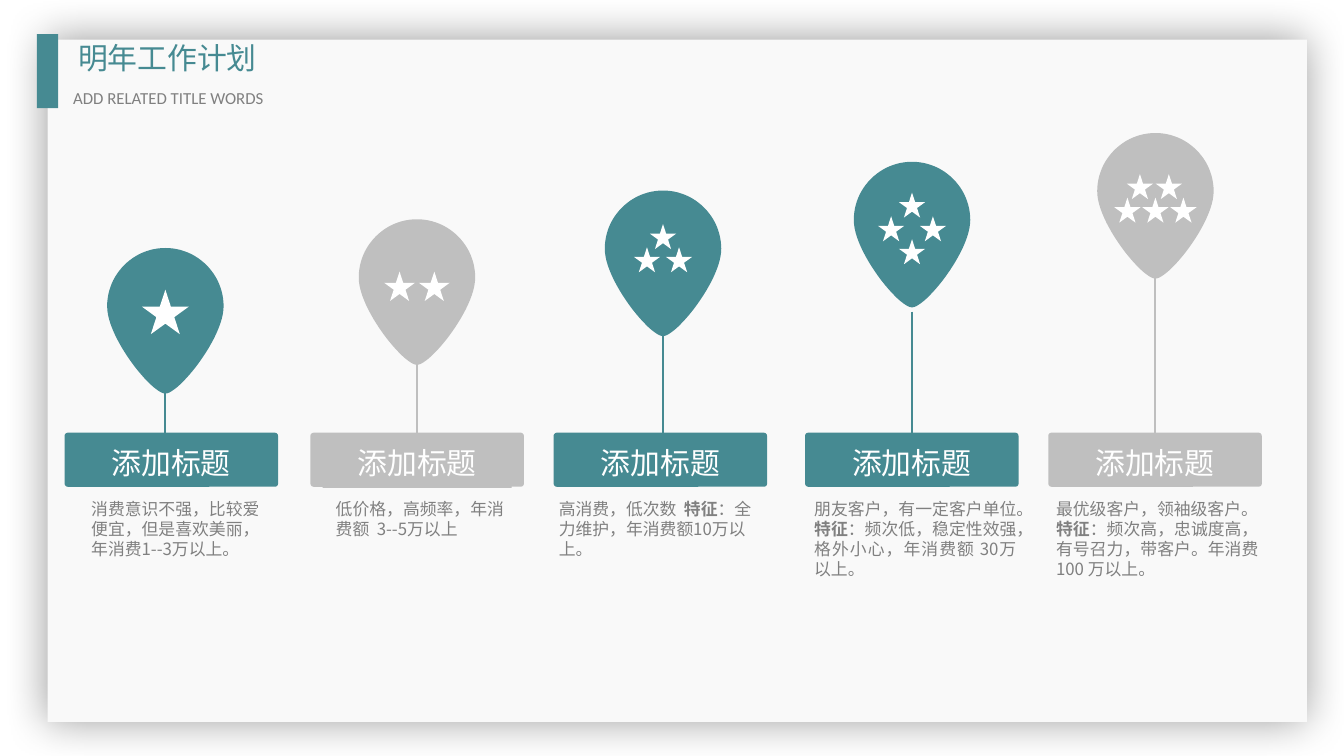
import math
from dataclasses import dataclass

import pptx
import pptx.dml.color
import pptx.enum.shapes
import pptx.enum.text
import pptx.oxml
import pptx.oxml.ns
import pptx.util

Pt = pptx.util.Pt
Align = pptx.enum.text.PP_ALIGN
Shape = pptx.enum.shapes.MSO_SHAPE
DRAWING = pptx.oxml.ns.nsdecls("a")


@dataclass(frozen=True)
class Theme:
    teal: str = "468A92"
    silver: str = "BFBFBF"
    grey: str = "808080"
    white: str = "FFFFFF"
    panel: str = "F9F9F9"
    heading: float = 16
    small: float = 9
    leading: float = 1.2
    cjk: str = "Noto Sans CJK SC"
    latin: str = "Calibri"


THEME = Theme()


@dataclass(frozen=True)
class Box:
    left: float
    top: float
    width: float
    height: float

    def points(self):
        return [Pt(v) for v in (self.left, self.top, self.width, self.height)]


@dataclass(frozen=True)
class Level:
    """One customer level; star points are offsets from the top middle of its pin."""
    color: str
    tag_left: float
    pin_middle: float
    stem_top: float
    star_radius: float
    stars: tuple
    note: Box
    align: object
    paras: tuple
    label_fill: bool = False


LEVELS = (
    Level(THEME.teal, 34.6, 88.6, 208, 13.2, ((0, 22.3),),
          Box(41.8, 263.5, 105, 40), Align.LEFT,
          ((("消费意识不强，比较爱便宜，但是喜欢美丽，年消费1--3万以上。", False),),)),
    Level(THEME.silver, 166.3, 223.4, 195, 8.7, ((-9.3, 28), (9.3, 28)),
          Box(172.8, 263.5, 105, 29), Align.LEFT,
          ((("低价格，高频率，年消费额  3--5万以上", False),),), True),
    Level(THEME.teal, 296.6, 355.2, 177, 7.4, ((-8.6, 30.4), (8.6, 30.4), (0, 18)),
          Box(292.3, 263.5, 122.4, 40), Align.LEFT,
          ((("高消费，低次数  ", False), ("特征", True),
            ("：全力维护，年消费额10万以上。", False)),)),
    Level(THEME.teal, 431.3, 488.6, 167, 7.4,
          ((-11.2, 29.2), (11.2, 29.2), (0, 16.5), (0, 41.5)),
          Box(429.1, 263.5, 122.4, 62), Align.JUSTIFY,
          ((("朋友客户，有一定客户单位。", False),),
           (("特征", True), ("：频次低，稳定性效强，格外小心，年消费额 30万以上。", False)))),
    Level(THEME.silver, 561.6, 619, 149, 7.4,
          ((-15, 34.6), (0, 34.6), (15, 34.6), (-8.3, 22), (7.2, 22)),
          Box(558.7, 263.5, 122.4, 51), Align.JUSTIFY,
          ((("最优级客户，领袖级客户。", False),),
           (("特征", True), ("：频次高，忠诚度高，有号召力，带客户。年消费100 万以上。", False)))),
)
PIN_WIDTH, PIN_HEIGHT = 62.4, 78
PIN_TOP, PIN_RISE = 132.9, 15.4
TAG_TOP, TAG_WIDTH, TAG_HEIGHT = 231.8, 114.4, 29
# Right half of the pin as Bezier curves, in units of half width and full height
PIN_CURVES = (((0, 0), (0.55, 0), (1, 0.18), (1, 0.4)),
              ((1, 0.62), (0.23, 1), (0, 1)))


def rgb(color):
    return pptx.dml.color.RGBColor.from_string(color)


def paint(shape, color):
    shape.shadow.inherit = False
    shape.fill.solid()
    shape.fill.fore_color.rgb = rgb(color)
    shape.line.fill.background()


def write(shape, paras, size, color, font, align, inset=(7.2, 3.6)):
    frame = shape.text_frame
    frame.word_wrap = True
    frame.auto_size = pptx.enum.text.MSO_AUTO_SIZE.SHAPE_TO_FIT_TEXT
    frame.vertical_anchor = pptx.enum.text.MSO_ANCHOR.TOP
    frame.margin_left = frame.margin_right = Pt(inset[0])
    frame.margin_top = frame.margin_bottom = Pt(inset[1])
    for index, spans in enumerate(paras):
        para = frame.add_paragraph() if index else frame.paragraphs[0]
        para.alignment = align
        para.line_spacing = Pt(size * THEME.leading)
        para.space_before = Pt(0)
        for text, bold in spans:
            span = para.add_run()
            span.text = text
            span.font.size = Pt(size)
            span.font.bold = bold
            span.font.color.rgb = rgb(color)
            span.font.name = font
            span.font.element.append(
                pptx.oxml.parse_xml(f'<a:ea {DRAWING} typeface="{font}"/>')
            ) if hasattr(span.font, "element") else span.font._rPr.append(
                pptx.oxml.parse_xml(f'<a:ea {DRAWING} typeface="{font}"/>'))


def add_outline(page, contours, color):
    builder = None
    for contour in contours:
        start, *rest = [(Pt(x), Pt(y)) for x, y in contour]
        if builder is None:
            builder = page.shapes.build_freeform(*start)
        else:
            builder.move_to(*start)
        builder.add_line_segments(rest, close=True)
    paint(builder.convert_to_shape(), color)


def pin_outline(box, steps=24):
    right, start = [], PIN_CURVES[0][0]
    for controls in (PIN_CURVES[0][1:], PIN_CURVES[1]):
        for step in range(steps):
            t = step / steps
            weights = ((1 - t) ** 3, 3 * t * (1 - t) ** 2, 3 * t * t * (1 - t), t ** 3)
            knots = (start, *controls)
            right.append([sum(w * k[axis] for w, k in zip(weights, knots))
                          for axis in (0, 1)])
        start = controls[-1]
    right.append(start)
    whole = right + [(-x, y) for x, y in right[-2:0:-1]]
    half = box.width / 2
    return [(box.left + half + x * half, box.top + y * box.height) for x, y in whole]


def star_outline(middle, top, radius):
    outline = []
    for corner in range(10):
        reach = radius * (0.382 if corner % 2 else 1)
        angle = corner * math.pi / 5
        outline.append((middle + reach * math.sin(angle),
                        top + radius - reach * math.cos(angle)))
    return outline


def add_pin(page, box, level):
    add_outline(page, [pin_outline(box)], level.color)
    middle = box.left + box.width / 2
    add_outline(page, [star_outline(middle + x, box.top + y, level.star_radius)
                       for x, y in level.stars], THEME.white)


def add_tag(page, box, level):
    tag = page.shapes.add_shape(Shape.ROUNDED_RECTANGLE, *box.points())
    tag.adjustments[0] = 0.06
    paint(tag, level.color)
    label = page.shapes.add_textbox(
        *Box(box.left + 6.6, box.top + 3, box.width - 13.2, 26.6).points())
    if level.label_fill:
        paint(label, level.color)
    write(label, [[("添加标题", False)]], THEME.heading, THEME.white, THEME.cjk,
          Align.CENTER)
    return tag


def add_stem(page, level, tag):
    middle = Pt(level.pin_middle)
    stem = page.shapes.add_connector(pptx.enum.shapes.MSO_CONNECTOR.STRAIGHT,
                                     middle, Pt(level.stem_top), middle, tag.top)
    if abs(tag.left + tag.width // 2 - middle) < Pt(1):
        stem.end_connect(tag, 0)
        stem.begin_x = stem.end_x
    stem.line.color.rgb = rgb(level.color)
    stem.line.width = Pt(1)
    stem.element.spPr.append(pptx.oxml.parse_xml(f"<a:effectLst {DRAWING}/>"))


def add_level(page, index, level):
    add_pin(page, Box(level.pin_middle - PIN_WIDTH / 2, PIN_TOP - index * PIN_RISE,
                      PIN_WIDTH, PIN_HEIGHT), level)
    tag = add_tag(page, Box(level.tag_left, TAG_TOP, TAG_WIDTH, TAG_HEIGHT), level)
    add_stem(page, level, tag)
    note = page.shapes.add_textbox(*level.note.points())
    write(note, level.paras, THEME.small, THEME.grey, THEME.cjk, level.align)


def add_backdrop(page, box):
    panel = page.shapes.add_shape(Shape.RECTANGLE, *box.points())
    paint(panel, THEME.panel)
    panel.element.spPr.find(pptx.oxml.ns.qn("a:effectLst")).append(pptx.oxml.parse_xml(
        f'<a:outerShdw {DRAWING} blurRad="{Pt(23)}" dist="0" dir="0" algn="ctr">'
        '<a:srgbClr val="000000"><a:alpha val="40000"/></a:srgbClr></a:outerShdw>'))


def add_heading(page, box):
    bar = page.shapes.add_shape(Shape.RECTANGLE,
                                *Box(box.left, box.top, 11.4, box.height).points())
    paint(bar, THEME.teal)
    title = page.shapes.title
    title.element.getparent().append(title.element)
    title.left, title.top, title.width, title.height = Box(
        box.left + 16.6, box.top, 144.6, 25).points()
    write(title, [[("明年工作计划", False)]], THEME.heading, THEME.teal, THEME.cjk,
          Align.JUSTIFY, (5.4, 2.7))
    subtitle = page.shapes.add_textbox(
        *Box(box.left + 14, box.top + 25.8, 160.6, 16.6).points())
    write(subtitle, [[("ADD RELATED TITLE WORDS", False)]], THEME.small, THEME.grey,
          THEME.latin, Align.JUSTIFY, (5.4, 2.7))


def main():
    deck = pptx.Presentation()
    deck.slide_width, deck.slide_height = Pt(720), Pt(405)
    page = deck.slides.add_slide(deck.slide_layouts[5])
    add_backdrop(page, Box(25.5, 21.2, 674.7, 365.6))
    add_heading(page, Box(19.8, 18.3, 155, 39.6))
    for index, level in enumerate(LEVELS):
        add_level(page, index, level)
    deck.save("out.pptx")


if __name__ == "__main__":
    main()
